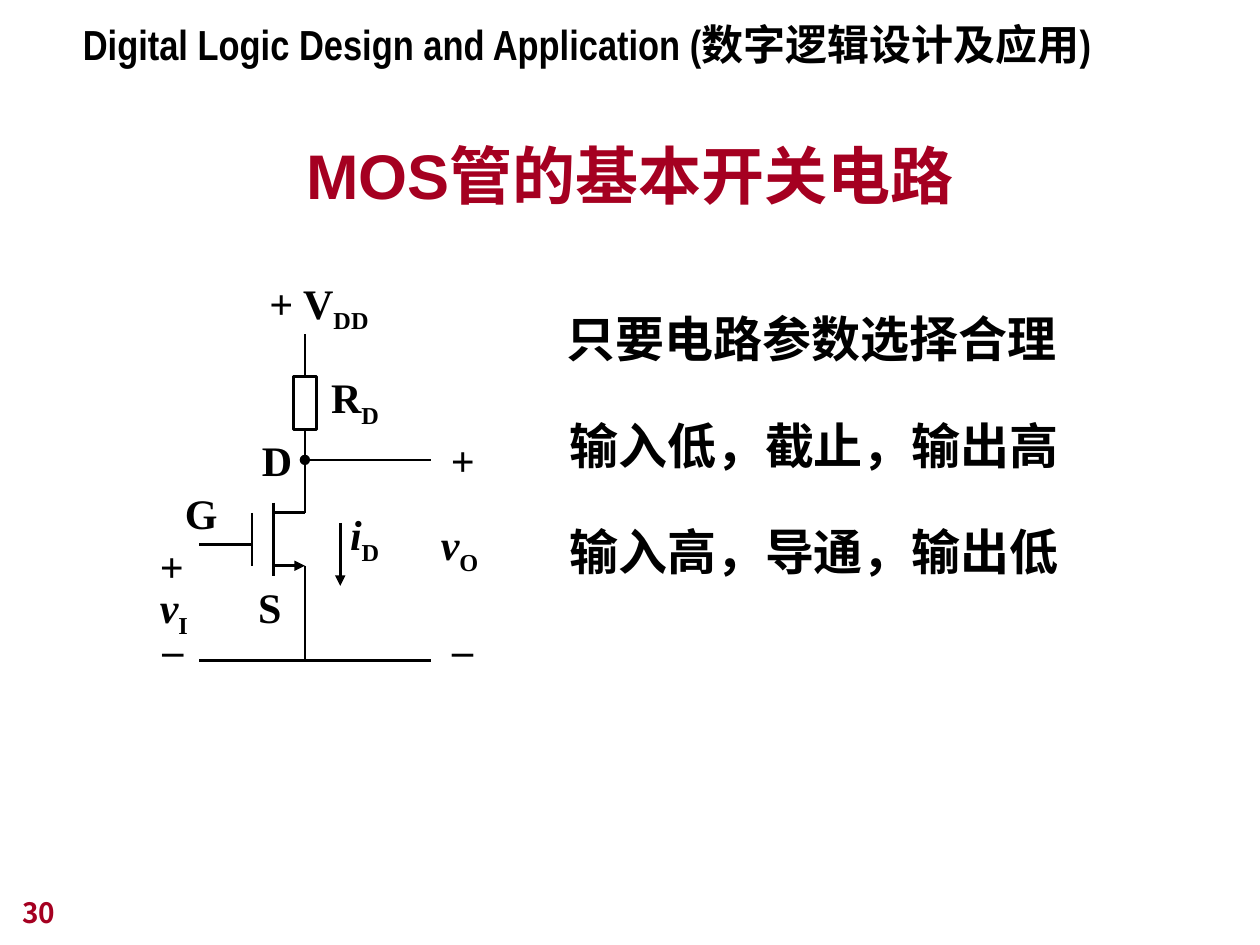
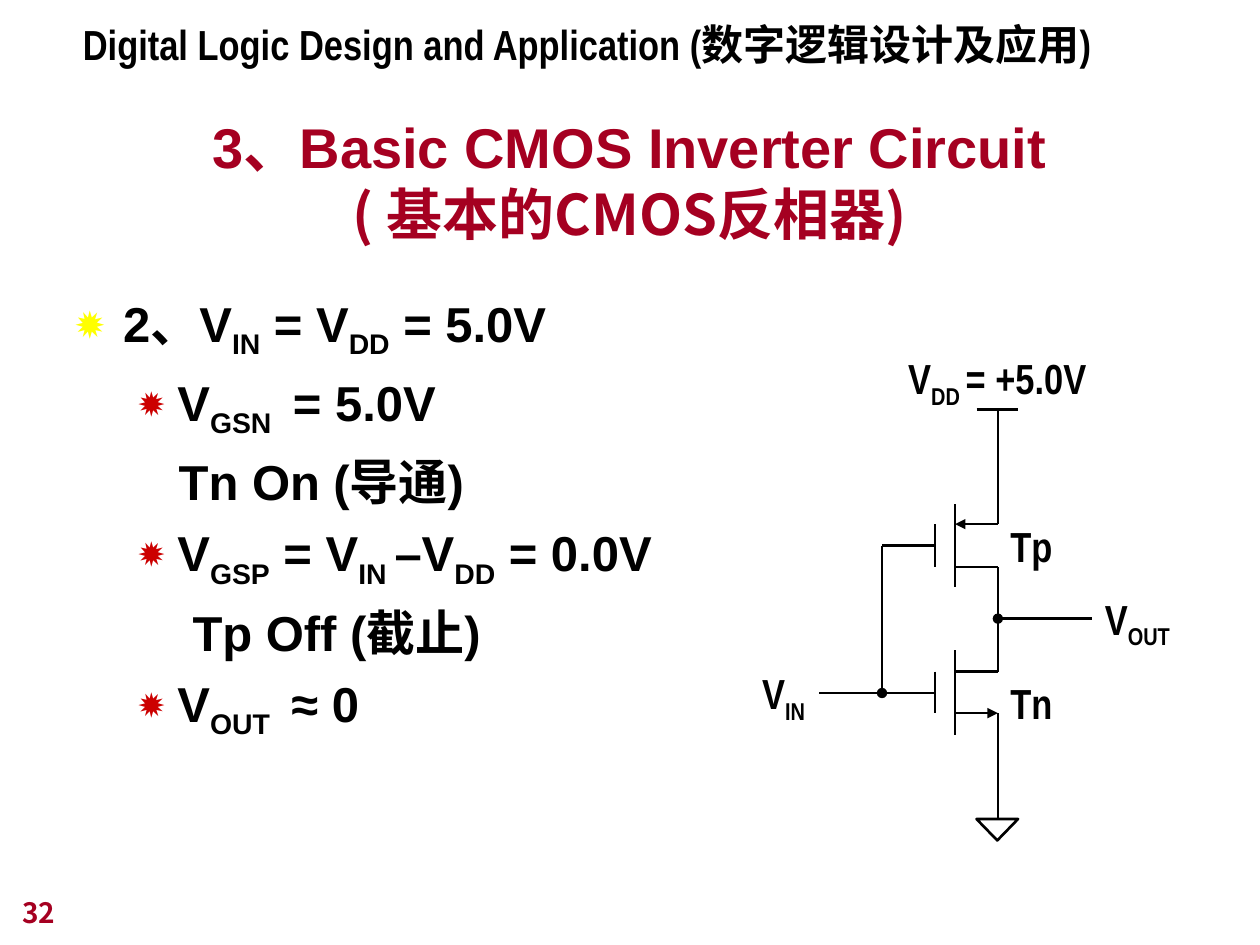
from dataclasses import dataclass
from typing import NamedTuple, Optional

from lxml import etree
from pptx import Presentation
from pptx import util as u
from pptx.dml.color import RGBColor
from pptx.enum import shapes, text
from pptx.oxml import ns

BLACK = RGBColor(0x00, 0x00, 0x00)
CRIMSON = RGBColor(0xA5, 0x00, 0x21)
YELLOW = RGBColor(0xFF, 0xFF, 0x00)
RED = RGBColor(0xCC, 0x00, 0x00)

SANS = "Arial"
NARROW = "Arial Narrow"
SERIF = "Times New Roman"
CJK = "Noto Sans CJK JP"

COURSE = "Digital Logic Design and Application (数字逻辑设计及应用)"
LABEL_SLACK = 0.1


class Style(NamedTuple):
    font: str
    size: int
    color: RGBColor = BLACK


HEADER = Style(NARROW, 24)
SYMBOL = Style(SERIF, 24)
CIRCUIT = Style(NARROW, 24)
REMARK = Style(SERIF, 28)
BODY = Style(SANS, 28)
NUMBER = Style(CJK, 16, CRIMSON)


class Span(NamedTuple):
    text: str
    sub: bool = False
    italic: bool = False
    font: Optional[str] = None


class Label(NamedTuple):
    left: float
    top: float
    width: float
    base: str
    sub: str = ""
    italic: bool = False
    tail: str = ""


class Wire(NamedTuple):
    x1: float
    y1: float
    x2: float
    y2: float
    head: str = ""
    tail: str = ""


class Bullet(NamedTuple):
    color: RGBColor
    percent: int


class Line(NamedTuple):
    spans: list
    margin: float
    indent: float = 0
    bullet: Optional[Bullet] = None


@dataclass
class Mosfet:
    plate_x: float
    channel_x: float
    lead_x: float
    upper_y: float
    lower_y: float
    overhang: float
    gate_x: float
    gate_y: float
    p_type: bool = False

    def wires(self) -> list:
        return [
            Wire(self.plate_x, self.upper_y, self.plate_x, self.lower_y),
            Wire(self.channel_x, self.upper_y - self.overhang,
                 self.channel_x, self.lower_y + self.overhang),
            Wire(self.channel_x, self.upper_y, self.lead_x, self.upper_y,
                 head="triangle" if self.p_type else ""),
            Wire(self.channel_x, self.lower_y, self.lead_x, self.lower_y,
                 tail="" if self.p_type else "triangle"),
            Wire(self.plate_x, self.gate_y, self.gate_x, self.gate_y),
        ]


def add_element(parent, tag: str, **attributes):
    return etree.SubElement(parent, ns.qn(tag), attributes)


def add_spans(para, spans: list, style: Style) -> None:
    for span in spans:
        run = para.add_run()
        run.text = span.text
        run.font.name = span.font or style.font
        run.font.size = u.Pt(style.size)
        run.font.bold = True
        run.font.italic = span.italic
        run.font.color.rgb = style.color
        properties = run._r.get_or_add_rPr()
        add_element(properties, "a:ea", typeface=CJK)
        if span.sub:
            properties.set("baseline", "-25000")


def add_box(page, left: float, top: float, width: float, height: float,
            bottom: bool = False):
    box = page.shapes.add_textbox(u.Inches(left), u.Inches(top),
                                  u.Inches(width), u.Inches(height))
    frame = box.text_frame
    frame.word_wrap = True
    frame.auto_size = text.MSO_AUTO_SIZE.NONE
    if bottom:
        frame.vertical_anchor = text.MSO_ANCHOR.BOTTOM
    return frame


def add_label(page, label: Label, style: Style) -> None:
    frame = add_box(page, label.left, label.top, label.width + LABEL_SLACK,
                    0.56 if label.sub else 0.5)
    spans = [Span(label.base, italic=label.italic)]
    if label.sub:
        spans.append(Span(label.sub, sub=True))
    if label.tail:
        spans.append(Span(label.tail))
    add_spans(frame.paragraphs[0], spans, style)


def add_wire(page, wire: Wire):
    connector = page.shapes.add_connector(
        shapes.MSO_CONNECTOR.STRAIGHT, u.Inches(wire.x1), u.Inches(wire.y1),
        u.Inches(wire.x2), u.Inches(wire.y2))
    connector.line.color.rgb = BLACK
    connector.line.width = u.Pt(1.5)
    outline = connector.line._get_or_add_ln()
    for tag, kind in (("a:headEnd", wire.head), ("a:tailEnd", wire.tail)):
        if kind:
            add_element(outline, tag, type=kind)
    add_element(connector._element.spPr, "a:effectLst")
    return connector


def add_outline(page, kind, left: float, top: float, width: float, height: float):
    shape = page.shapes.add_shape(kind, u.Inches(left), u.Inches(top),
                                  u.Inches(width), u.Inches(height))
    shape.shadow.inherit = False
    shape.fill.background()
    shape.line.color.rgb = BLACK
    shape.line.width = u.Pt(1.5)
    return shape


def add_page(deck, number: int, title_top: float, title_size: int, title_lines: list):
    page = deck.slides.add_slide(deck.slide_layouts[6])
    add_label(page, Label(0.56, 0.1, 8.37, COURSE), HEADER)
    para = add_box(page, 0.75, title_top, 8.5, 0.83, bottom=True).paragraphs[0]
    para.alignment = text.PP_ALIGN.CENTER
    for index, spans in enumerate(title_lines):
        if index:
            para.add_line_break()
        add_spans(para, spans, Style(SANS, title_size, CRIMSON))
    frame = add_box(page, 0.08, 6.92, 2.08, 0.5, bottom=True)
    add_spans(frame.paragraphs[0], [Span(str(number))], NUMBER)
    return page


def add_body(page, lines: list) -> None:
    frame = add_box(page, 0.5, 2.28, 5.44, 5.02)
    for index, line in enumerate(lines):
        para = frame.add_paragraph() if index else frame.paragraphs[0]
        properties = para._p.get_or_add_pPr()
        properties.set("marL", str(u.Inches(line.margin)))
        properties.set("indent", str(u.Inches(line.indent)))
        if line.bullet:
            color = add_element(properties, "a:buClr")
            add_element(color, "a:srgbClr", val=str(line.bullet.color))
            add_element(properties, "a:buSzPct", val=str(line.bullet.percent * 1000))
            add_element(properties, "a:buChar", char="✹")
        if index:
            para.space_before = u.Pt(7)
        add_spans(para, line.spans, BODY)


def build_switch_page(deck) -> None:
    page = add_page(deck, 30, 0.9, 36,
                    [[Span("MOS"), Span("管的基本开关电路", font=CJK)]])
    drain_x, ground_y = 2.42, 5.24
    transistor = Mosfet(2, 2.17, drain_x, 4.07, 4.49, 0.08, 1.58, 4.32)
    wires = transistor.wires() + [
        Wire(drain_x, transistor.lower_y, drain_x, ground_y),
        Wire(drain_x, 3.65, 3.42, 3.65, head="oval"),
        Wire(1.58, ground_y, 3.42, ground_y),
        Wire(2.7, 4.15, 2.7, 4.65, tail="triangle"),
    ]
    for wire in wires:
        add_wire(page, wire)
    resistor = add_outline(page, shapes.MSO_SHAPE.RECTANGLE, 2.33, 2.99, 0.18, 0.42)
    supply = add_wire(page, Wire(drain_x, 2.99, drain_x, 2.65))
    supply.begin_connect(resistor, 0)
    drain = add_wire(page, Wire(drain_x, transistor.upper_y, drain_x, 3.41))
    drain.end_connect(resistor, 2)
    labels = [
        Label(1.17, 4.57, 0.42, "v", "I", italic=True),
        Label(1.17, 4.24, 0.39, "+"),
        Label(1.19, 4.9, 0.36, "–"),
        Label(3.4, 4.07, 0.5, "v", "O", italic=True),
        Label(3.49, 4.9, 0.36, "–"),
        Label(3.48, 3.4, 0.39, "+"),
        Label(2.68, 3.99, 0.43, "i", "D", italic=True),
        Label(2.04, 2.15, 0.99, "+ V", "DD"),
        Label(2.53, 2.9, 0.58, "R", "D"),
        Label(1.98, 3.4, 0.44, "D"),
        Label(1.37, 3.82, 0.46, "G"),
        Label(1.95, 4.57, 0.38, "S"),
    ]
    for label in labels:
        add_label(page, label, SYMBOL)
    remarks = ["只要电路参数选择合理", "输入低，截止，输出高", "输入高，导通，输出低"]
    for index, remark in enumerate(remarks):
        frame = add_box(page, 4.42 if index else 4.4, 2.4 + 0.845 * index, 4.25, 0.57)
        add_spans(frame.paragraphs[0], [Span(remark)], REMARK)


def build_inverter_page(deck) -> None:
    page = add_page(deck, 32, 1.18, 32, [
        [Span("3、Basic CMOS Inverter Circuit")],
        [Span("( 基本的CMOS反相器)", font=CJK)],
    ])
    star = Bullet(RED, 90)
    add_body(page, [
        Line([Span("2、V"), Span("IN", True), Span(" = V"), Span("DD", True),
              Span(" = 5.0V")], 0.38, -0.38, Bullet(YELLOW, 100)),
        Line([Span("V"), Span("GSN ", True), Span(" = 5.0V")], 0.81, -0.31, star),
        Line([Span("Tn On (导通)")], 0.82),
        Line([Span("V"), Span("GSP", True), Span(" = V"), Span("IN ", True),
              Span("–V"), Span("DD", True), Span(" = 0.0V")], 0.81, -0.31, star),
        Line([Span("Tp Off (截止)")], 0.93),
        Line([Span("V"), Span("OUT ", True), Span(" ≈ 0")], 0.81, -0.31, star),
    ])
    output_x, input_x, supply_y, ground_y = 7.92, 7, 3.25, 6.5
    upper = Mosfet(7.42, 7.58, output_x, 4.16, 4.5, 0.16, input_x, 4.33, p_type=True)
    lower = Mosfet(7.42, 7.58, output_x, 5.33, 5.66, 0.17, 6.5, 5.5)
    wires = upper.wires() + lower.wires() + [
        Wire(output_x, upper.upper_y, output_x, supply_y),
        Wire(output_x, upper.lower_y, output_x, lower.upper_y),
        Wire(output_x, ground_y, output_x, lower.lower_y),
        Wire(output_x, 4.91, 8.67, 4.91, head="oval"),
        Wire(input_x, upper.gate_y, input_x, lower.gate_y, tail="oval"),
        Wire(7.75, supply_y, 8.08, supply_y),
    ]
    for wire in wires:
        add_wire(page, wire)
    ground = add_outline(page, shapes.MSO_SHAPE.ISOSCELES_TRIANGLE,
                         7.75, ground_y, 0.33, 0.17)
    ground.rotation = 180
    labels = [
        Label(7.11, 2.75, 1.61, "V", "DD ", tail="= +5.0V"),
        Label(8.67, 4.66, 0.71, "V", "OUT"),
        Label(5.95, 5.25, 0.54, "V", "IN"),
        Label(7.92, 4.08, 0.53, "Tp"),
        Label(7.92, 5.33, 0.53, "Tn"),
    ]
    for label in labels:
        add_label(page, label, CIRCUIT)


def main() -> None:
    deck = Presentation()
    deck.slide_width = u.Inches(10)
    deck.slide_height = u.Inches(7.5)
    build_switch_page(deck)
    build_inverter_page(deck)
    deck.save("out.pptx")


if __name__ == "__main__":
    main()
